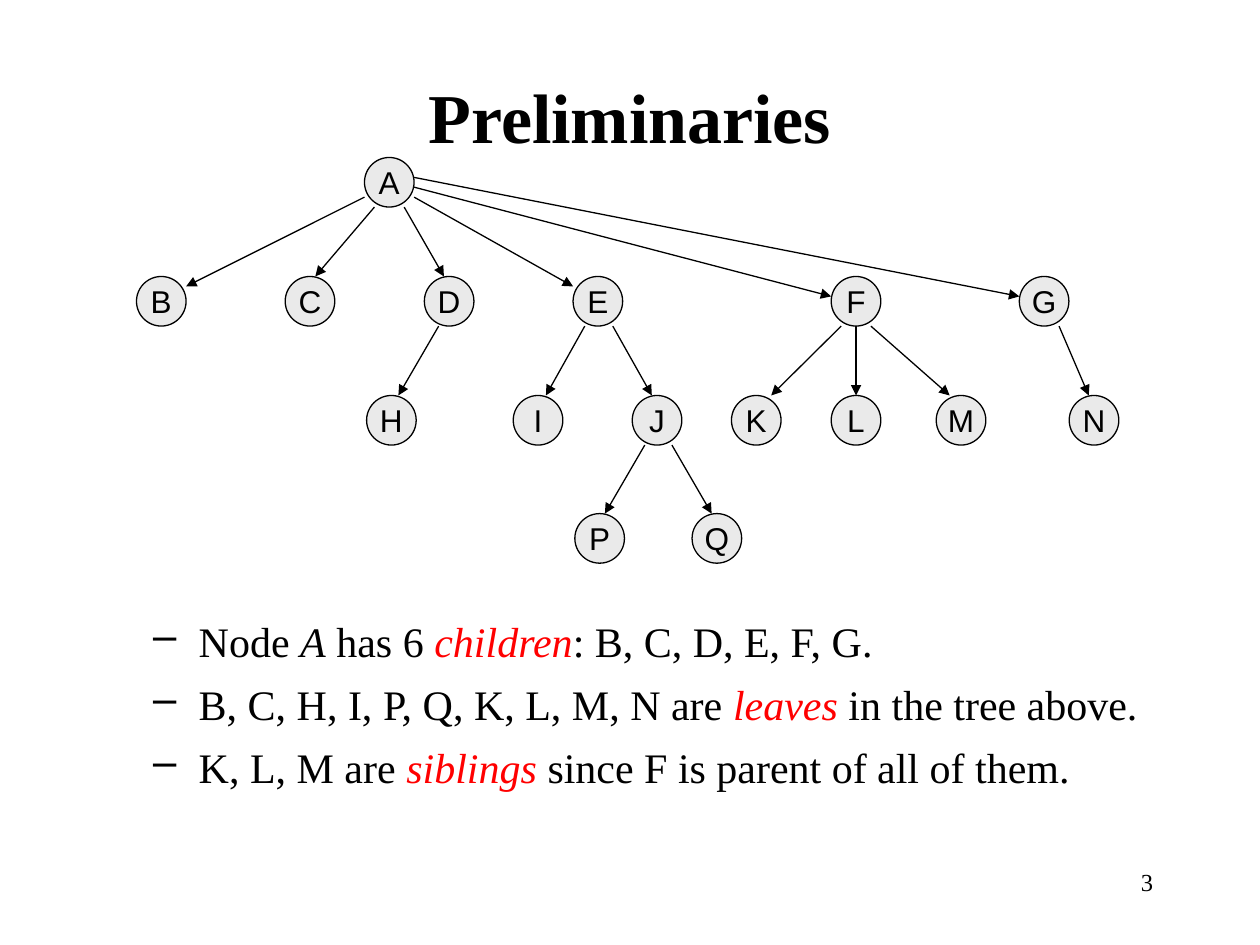
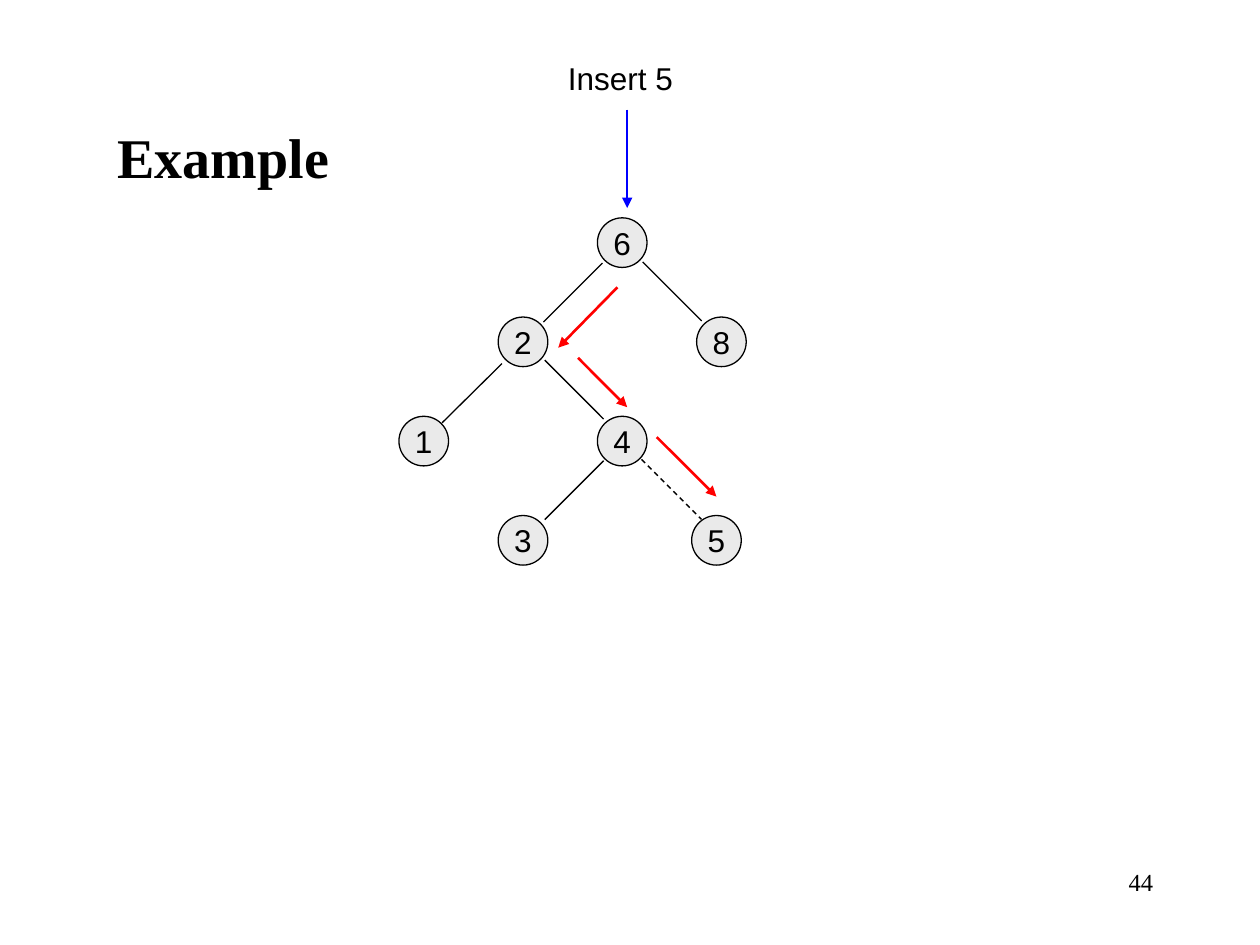
from lxml import etree
from pptx import Presentation
from pptx.dml.color import RGBColor
from pptx.enum import dml, shapes, text
from pptx.oxml import ns
from pptx.util import Pt

BLACK = RGBColor(0x00, 0x00, 0x00)
RED = RGBColor(0xFF, 0x00, 0x00)
BLUE = RGBColor(0x00, 0x00, 0xFF)
NODE_FILL = RGBColor(0xEA, 0xEA, 0xEA)
SERIF = "Times New Roman"
SANS = "Arial"
DIAMETER = 28.35
RADIUS = DIAMETER / 2
THIN = 0.74
THICK = 1.5


def set_font(paragraph, size, name, bold=False):
    font = paragraph.font
    font.size, font.name, font.bold = Pt(size), name, bold
    font.color.rgb = BLACK


def add_xml(parent, tag, **attributes):
    return etree.SubElement(parent, ns.qn(tag), **attributes)


def add_text_box(slide, box):
    frame = slide.shapes.add_textbox(*map(Pt, box)).text_frame
    frame.word_wrap = True
    return frame


def add_title(slide, box, words, size, alignment):
    title = slide.shapes.title
    title.left, title.top, title.width, title.height = map(Pt, box)
    frame = title.text_frame
    frame.text = words
    frame.auto_size = text.MSO_AUTO_SIZE.NONE
    frame.vertical_anchor = text.MSO_ANCHOR.MIDDLE
    paragraph = frame.paragraphs[0]
    paragraph.alignment = alignment
    set_font(paragraph, size, SERIF, bold=True)


def add_page_number(slide, number):
    frame = add_text_box(slide, (516, 492, 150, 36))
    frame.text = str(number)
    paragraph = frame.paragraphs[0]
    paragraph.alignment = text.PP_ALIGN.RIGHT
    set_font(paragraph, 14, SERIF)


def add_line(slide, start, end, color=BLACK, width=THIN, arrow=False, dashed=False):
    line = slide.shapes.add_connector(
        shapes.MSO_CONNECTOR.STRAIGHT, *map(Pt, (*start, *end)))
    line.line.color.rgb = color
    line.line.width = Pt(width)
    if dashed:
        line.line.dash_style = dml.MSO_LINE.DASH
    if arrow:
        add_xml(line.line._get_or_add_ln(), "a:tailEnd", type="triangle")
    add_xml(line._element.spPr, "a:effectLst")


def add_node(slide, left, top, label):
    node = slide.shapes.add_shape(
        shapes.MSO_SHAPE.OVAL, *map(Pt, (left, top, DIAMETER, DIAMETER)))
    node.shadow.inherit = False
    node.fill.solid()
    node.fill.fore_color.rgb = NODE_FILL
    node.line.color.rgb = BLACK
    node.line.width = Pt(THIN)
    frame = node.text_frame
    frame.text = label
    frame.word_wrap = False
    frame.vertical_anchor = text.MSO_ANCHOR.MIDDLE
    paragraph = frame.paragraphs[0]
    paragraph.alignment = text.PP_ALIGN.CENTER
    set_font(paragraph, 18, SANS)


def add_tree(slide, origin, nodes, edges, arrow=False, dashed=()):
    left, top = origin
    for label, (x, y) in nodes.items():
        add_node(slide, left + x, top + y, label)

    def offset_from_center(label, offset):
        x, y = nodes[label]
        return left + x + RADIUS + offset[0], top + y + RADIUS + offset[1]

    for (parent, child), (start, end) in edges.items():
        add_line(slide, offset_from_center(parent, start),
                 offset_from_center(child, end),
                 arrow=arrow, dashed=parent + child in dashed)


def add_bullets(slide, box, items):
    frame = add_text_box(slide, box)
    for index, runs in enumerate(items):
        paragraph = frame.paragraphs[0] if index == 0 else frame.add_paragraph()
        paragraph.level = 1
        paragraph.space_before = Pt(7.2)
        set_font(paragraph, 24, SERIF)
        properties = paragraph._p.get_or_add_pPr()
        properties.set("marL", str(Pt(52.5)))
        properties.set("indent", str(Pt(-26)))
        bullet = etree.Element(ns.qn("a:buChar"), char="–")
        properties.find(ns.qn("a:defRPr")).addprevious(bullet)
        for words, color, italic in runs:
            run = paragraph.add_run()
            run.text = words
            run.font.italic = italic
            run.font.color.rgb = color


def add_insertion(slide, origin):
    left, top = origin
    frame = add_text_box(slide, (left + 89.5, top - 94.2, 74.2, 28.8))
    frame.word_wrap = False
    frame.text = "Insert 5"
    set_font(frame.paragraphs[0], 18, SANS)
    steps = (
        ((130.4, -61.8), (130.4, -5.6), BLUE),
        ((124.8, 39.7), (91, 74.2), RED),
        ((102.3, 80), (130.4, 108.2), RED),
        ((147.3, 125.3), (181.4, 159.3), RED),
    )
    for start, end, color in steps:
        add_line(slide, (left + start[0], top + start[1]),
                 (left + end[0], top + end[1]), color, THICK, arrow=True)


def build_preliminaries(slide):
    add_page_number(slide, 3)
    add_title(slide, (54, 36, 612, 60), "Preliminaries", 40, text.PP_ALIGN.CENTER)
    add_bullets(slide, (54, 348, 612, 132), (
        (("Node ", BLACK, False), ("A", BLACK, True), (" has 6 ", BLACK, False),
         ("children", RED, True), (": B, C, D, E, F, G.", BLACK, False)),
        (("B, C, H, I, P, Q, K, L, M, N are ", BLACK, False),
         ("leaves ", RED, True), ("in the tree above.", BLACK, False)),
        (("K, L, M are ", BLACK, False), ("siblings", RED, True),
         (" since F is parent of all of them.", BLACK, False)),
    ))
    levels = (
        (0, {"A": 130.3}),
        (68, {"B": 0, "C": 85, "D": 164.5, "E": 249.5, "F": 397, "G": 504.5}),
        (136, {"H": 131.5, "I": 215.3, "J": 283.3, "K": 340, "L": 397,
               "M": 457, "N": 533}),
        (203.5, {"P": 250.5, "Q": 317.5}),
    )
    nodes = {label: (x, y) for y, level in levels for label, x in level.items()}
    side, high, low = RADIUS, 2.8, 8.5
    edges = {
        "AB": ((-side, low), (side, -low)),
        "AE": ((side, low), (-side, -low)),
        "AF": ((side, high), (-side, -high)),
        "AG": ((side, -high), (-side, -high)),
    }
    downward = {
        "AC": (-8.5, 3), "AD": (8.5, -3), "DH": (-6, 4), "EI": (-7.5, 4.5),
        "EJ": (8.5, -3), "FK": (-8.5, 8.5), "FL": (0, 0), "FM": (8.5, -6.5),
        "GN": (8.5, -3), "JP": (-7, 3), "JQ": (8.5, -3),
    }
    for pair, (start, end) in downward.items():
        edges[pair] = ((start, RADIUS), (end, -RADIUS))
    add_tree(slide, (78, 90), nodes, edges, arrow=True)


def build_example(slide):
    add_page_number(slide, 44)
    step = 56.7
    origin = (228, 124.5)
    grid = {"6": (2, 0), "2": (1, 1), "8": (3, 1), "1": (0, 2),
            "4": (2, 2), "3": (1, 3), "5": (2.95, 3)}
    nodes = {label: (column * step, row * step)
             for label, (column, row) in grid.items()}
    edges = {
        "62": ((-11.3, 11.7), (11.7, -11.3)),
        "68": ((11.7, 11), (-11.3, -12)),
        "21": ((-12, 12.4), (10.5, -10.5)),
        "24": ((12.4, 10.4), (-10.6, -12.6)),
        "43": ((-10.6, 11.2), (12.4, -11.8)),
        "45": ((11, 10.4), (-8.6, -12)),
    }
    add_tree(slide, origin, nodes, edges, dashed=("45",))
    add_insertion(slide, origin)
    add_title(slide, (60, 66, 198, 46), "Example", 32, text.PP_ALIGN.LEFT)


presentation = Presentation()
presentation.slide_width, presentation.slide_height = Pt(720), Pt(540)
title_only = presentation.slide_layouts[5]
for build in (build_preliminaries, build_example):
    build(presentation.slides.add_slide(title_only))
presentation.save("out.pptx")
